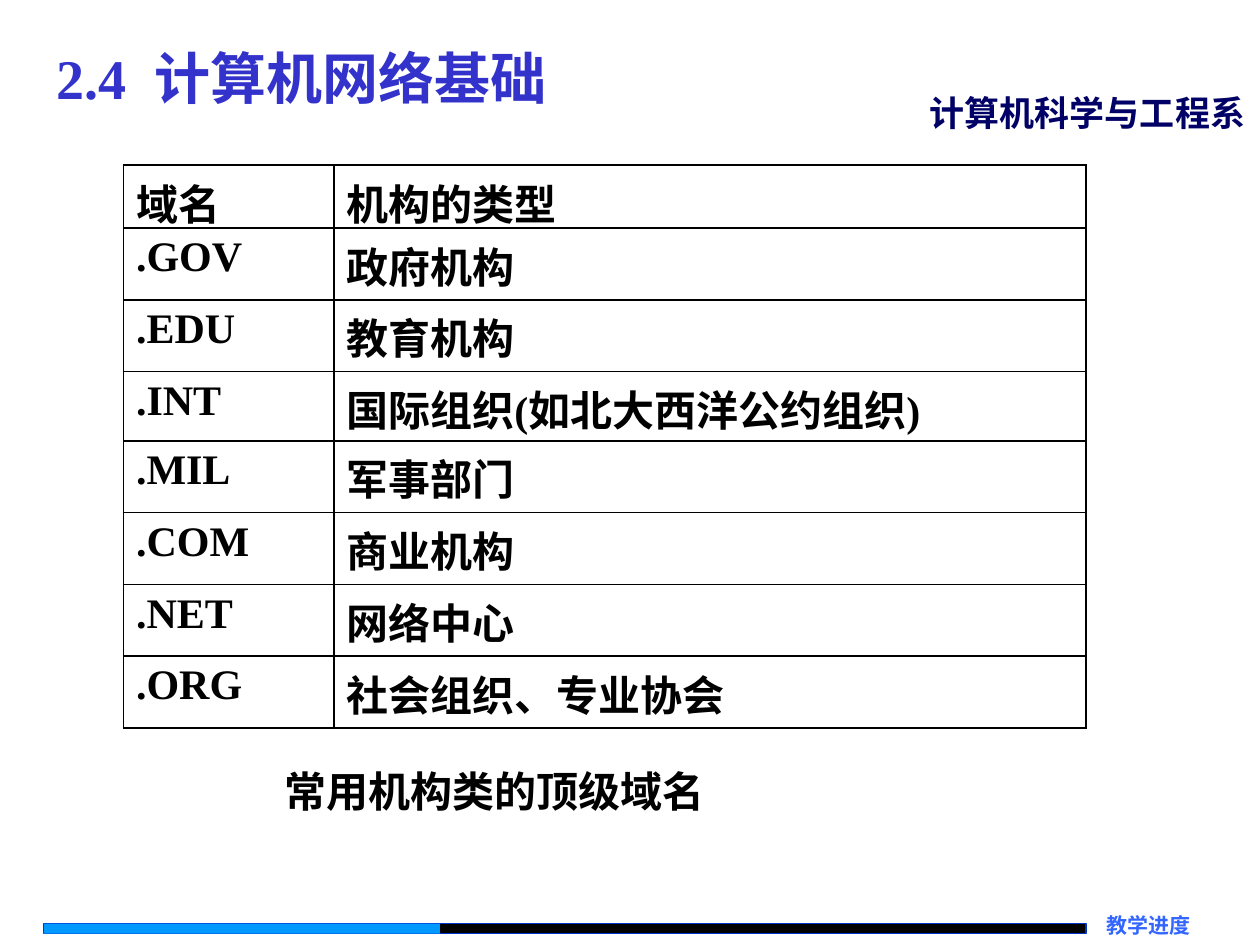
from lxml import etree
from pptx import Presentation
from pptx.dml.color import RGBColor
from pptx.enum.shapes import MSO_SHAPE
from pptx.enum.text import MSO_ANCHOR, PP_ALIGN
from pptx.oxml.ns import qn
from pptx.util import Inches, Pt

RECTANGLE = MSO_SHAPE.RECTANGLE
LEFT, RIGHT = PP_ALIGN.LEFT, PP_ALIGN.RIGHT
TOP, MIDDLE = MSO_ANCHOR.TOP, MSO_ANCHOR.MIDDLE
FONT = "Times New Roman"
BLACK = "000000"
PROGRESS = 0.38
COLUMNS = [1.67, 5.97]
ROWS = [0.5, 0.57, 0.57, 0.55, 0.57, 0.57, 0.57, 0.57]
DOMAINS = [
    ("域名", "机构的类型"),
    (".GOV", "政府机构"),
    (".EDU", "教育机构"),
    (".INT", "国际组织(如北大西洋公约组织)"),
    (".MIL", "军事部门"),
    (".COM", "商业机构"),
    (".NET", "网络中心"),
    (".ORG", "社会组织、专业协会"),
]


def color(value):
    return RGBColor.from_string(value)


def inches(box):
    return [Inches(length) for length in box]


def write(frame, text, size=24, ink=BLACK, align=LEFT):
    paragraph = frame.paragraphs[0]
    paragraph.alignment = align
    run = paragraph.add_run()
    run.text = text
    run.font.name = FONT
    run.font.size = Pt(size)
    run.font.bold = True
    run.font.color.rgb = color(ink)


def add_label(slide, box, text, anchor=TOP, wrap=True, inset=True, **style):
    frame = slide.shapes.add_textbox(*inches(box)).text_frame
    frame.word_wrap = wrap
    frame.vertical_anchor = anchor
    if not inset:
        frame.margin_left = frame.margin_right = 0
        frame.margin_top = frame.margin_bottom = 0
    write(frame, text, **style)


def add_bar(slide, box, fill, line=None):
    bar = slide.shapes.add_shape(RECTANGLE, *inches(box))
    bar.shadow.inherit = False
    bar.fill.solid()
    bar.fill.fore_color.rgb = color(fill)
    if line:
        bar.line.color.rgb = color(line)
        bar.line.width = Pt(0.75)
    else:
        bar.line.fill.background()


def add_progress(slide, box):
    left, top, width, height = box
    add_bar(slide, box, BLACK, line="0033CC")
    add_bar(slide, (left, top, width * PROGRESS, height), "0099FF")


def border_cell(cell):
    properties = cell._tc.get_or_add_tcPr()
    for index, side in enumerate(("lnL", "lnR", "lnT", "lnB")):
        edge = etree.Element(qn(f"a:{side}"), w=str(Pt(1)))
        fill = etree.SubElement(edge, qn("a:solidFill"))
        etree.SubElement(fill, qn("a:srgbClr"), val=BLACK)
        properties.insert(index, edge)


def add_domains(slide, box):
    frame = slide.shapes.add_table(len(ROWS), len(COLUMNS), *inches(box))
    table = frame.table
    table.first_row = table.horz_banding = False
    for column, width in zip(table.columns, COLUMNS):
        column.width = Inches(width)
    for row, height, entries in zip(table.rows, ROWS, DOMAINS):
        row.height = Inches(height)
        for cell, entry in zip(row.cells, entries):
            cell.fill.background()
            cell.margin_bottom = 0
            border_cell(cell)
            write(cell.text_frame, entry)


def add_header(slide, box):
    left, top, width, height = box
    add_label(slide, (left, top, width * 0.73, height * 0.8),
              "2.4  计算机网络基础", anchor=MIDDLE, size=32, ink="3333CC")
    add_label(slide, (left + width - 2.72, top + 0.4, 2.72, 0.43),
              "计算机科学与工程系", size=20, ink="000066")


def add_footer(slide, box):
    left, top, width, height = box
    add_progress(slide, (left, top + 0.09, width - 0.83, 0.08))
    add_label(slide, (left + width - 0.83, top, 0.83, height), "教学进度",
              wrap=False, inset=False, size=12, ink="3366FF", align=RIGHT)


def main():
    deck = Presentation()
    deck.slide_width, deck.slide_height = inches((10, 7.5))
    slide = deck.slides.add_slide(deck.slide_layouts[6])
    add_header(slide, (0.35, 0.28, 9.65, 0.83))
    add_domains(slide, (0.98, 1.31, sum(COLUMNS), sum(ROWS)))
    add_label(slide, (2.16, 6.03, 4.57, 0.5), "常用机构类的顶级域名")
    add_footer(slide, (0.35, 7.24, 9.1, 0.21))
    deck.save("out.pptx")


if __name__ == "__main__":
    main()
